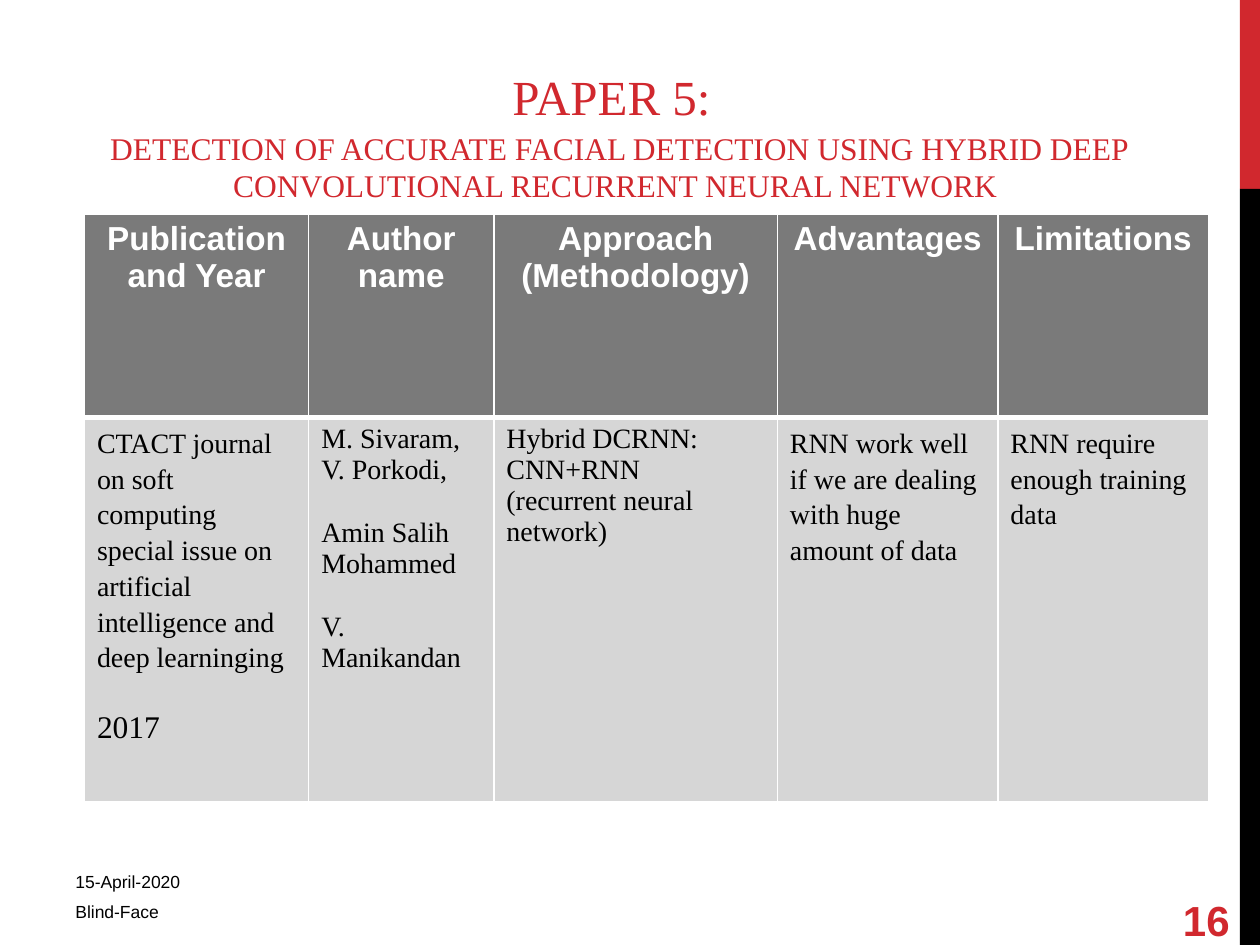
from lxml import etree
from pptx import Presentation, util as u
from pptx.dml.color import RGBColor
from pptx.enum import shapes, text
from pptx.oxml.ns import qn

SLIDE_W, SLIDE_H = u.Inches(10), u.Inches(7.5)
RED, BLACK, WHITE = "D1282E", "000000", "FFFFFF"
HEADER_GREY, BODY_GREY = "7A7A7A", "D6D6D6"
SERIF, SANS = "Times New Roman", "Arial"

COLUMNS = [1.78, 1.47, 2.25, 1.75, 1.67]
ROWS = [1.61, 3.05]
HEADINGS = ["Publication and Year", "Author name", "Approach (Methodology)",
            "Advantages", "Limitations"]
FINDINGS = [
    [("CTACT journal on soft computing", 16, 1.15, 0),
     ("special issue on artificial intelligence and deep learninging", 16, 1.15, 0),
     ("2017", 18, 1, 21)],
    [("M. Sivaram, V. Porkodi,", 16, 1, 0),
     ("Amin Salih Mohammed", 16, 1, 18),
     ("V. Manikandan", 16, 1, 18)],
    [("Hybrid DCRNN:", 16, 1, 0),
     ("CNN+RNN", 16, 1, 0),
     ("(recurrent neural network)", 16, 1, 0)],
    [("RNN work well if we are dealing with huge amount of data", 16, 1.15, 0)],
    [("RNN require enough training data", 16, 1.15, 0)],
]


def color(value):
    return RGBColor.from_string(value)


def share(left, top, width, height):
    return (int(SLIDE_W * left / 100), int(SLIDE_H * top / 100),
            int(SLIDE_W * width / 100), int(SLIDE_H * height / 100))


def style(run, size, face, ink, bold=False):
    run.font.size = u.Pt(size)
    run.font.name = face
    run.font.bold = bold
    run.font.color.rgb = color(ink)


def add_frame(slide, box, anchor):
    frame = slide.shapes.add_textbox(*box).text_frame
    frame.word_wrap = True
    frame.vertical_anchor = anchor
    return frame


def add_side_band(slide, box):
    left, top, width, height = box
    accent = height // 5
    for y, depth, fill in [(top, accent, RED), (top + accent, height - accent, BLACK)]:
        band = slide.shapes.add_shape(shapes.MSO_SHAPE.RECTANGLE, left, y, width, depth)
        band.shadow.inherit = False
        band.fill.solid()
        band.fill.fore_color.rgb = color(fill)
        band.line.fill.background()


def add_title(slide, box):
    frame = add_frame(slide, box, text.MSO_ANCHOR.BOTTOM)
    lines = [
        [("PAPER 5:", 28), (" ", 36)],
        [("DETECTION OF ACCURATE FACIAL DETECTION USING HYBRID DEEP "
          "CONVOLUTIONAL RECURRENT NEURAL NETWORK ", 18)],
    ]
    for index, pieces in enumerate(lines):
        line = frame.add_paragraph() if index else frame.paragraphs[0]
        line.alignment = text.PP_ALIGN.CENTER
        for wording, size in pieces:
            run = line.add_run()
            run.text = wording
            style(run, size, SERIF, RED)


def set_borders(cell, top, bottom):
    properties = cell._tc.get_or_add_tcPr()
    for side, points in [("L", 1), ("R", 1), ("T", top), ("B", bottom)]:
        edge = etree.SubElement(properties, qn(f"a:ln{side}"), w=str(u.Pt(points)))
        fill = etree.SubElement(edge, qn("a:solidFill"))
        etree.SubElement(fill, qn("a:srgbClr"), val=WHITE)


def fill_cell(cell, fill, borders):
    set_borders(cell, *borders)
    cell.fill.solid()
    cell.fill.fore_color.rgb = color(fill)


def add_review_table(slide, box):
    left, top, width, height = box
    table = slide.shapes.add_table(len(ROWS), len(COLUMNS), *box).table
    for column, weight in zip(table.columns, COLUMNS):
        column.width = int(width * weight / sum(COLUMNS))
    for row, weight in zip(table.rows, ROWS):
        row.height = int(height * weight / sum(ROWS))

    for index, (heading, findings) in enumerate(zip(HEADINGS, FINDINGS)):
        header = table.cell(0, index)
        fill_cell(header, HEADER_GREY, (1, 3))
        header.text_frame.text = heading
        label = header.text_frame.paragraphs[0]
        label.alignment = text.PP_ALIGN.CENTER
        style(label.runs[0], 19, SANS, WHITE, True)

        body = table.cell(1, index)
        fill_cell(body, BODY_GREY, (3, 1))
        body.text_frame.text = "\n".join(finding[0] for finding in findings)
        for line, (_, size, spacing, gap) in zip(body.text_frame.paragraphs, findings):
            line.line_spacing = spacing
            line.space_before = u.Pt(gap)
            style(line.runs[0], size, SERIF, BLACK)


def add_footer_line(slide, box, wording, anchor, size=10, ink=BLACK, bold=False):
    frame = add_frame(slide, box, anchor)
    frame.text = wording
    style(frame.paragraphs[0].runs[0], size, SANS, ink, bold)
    return frame


def add_footer(slide):
    date = add_footer_line(slide, share(5, 90, 37.5, 4.4), "15-April-2020",
                           text.MSO_ANCHOR.BOTTOM)
    date.margin_bottom = 0
    add_footer_line(slide, share(5, 94.67, 37.5, 4.13), "Blind-Face",
                    text.MSO_ANCHOR.TOP)
    number = add_footer_line(slide, share(92.9, 94.67, 5.5, 5.33), "16",
                             text.MSO_ANCHOR.MIDDLE, 24, RED, True)
    number.margin_right = 0


def main():
    deck = Presentation()
    deck.slide_width, deck.slide_height = SLIDE_W, SLIDE_H
    slide = deck.slides.add_slide(deck.slide_layouts[6])
    add_side_band(slide, share(98.4, 0, 1.6, 100))
    add_title(slide, share(0.8, 2.27, 96.7, 20))
    add_review_table(slide, share(6.7, 22.67, 89.2, 62.2))
    add_footer(slide)
    deck.save("out.pptx")


if __name__ == "__main__":
    main()
